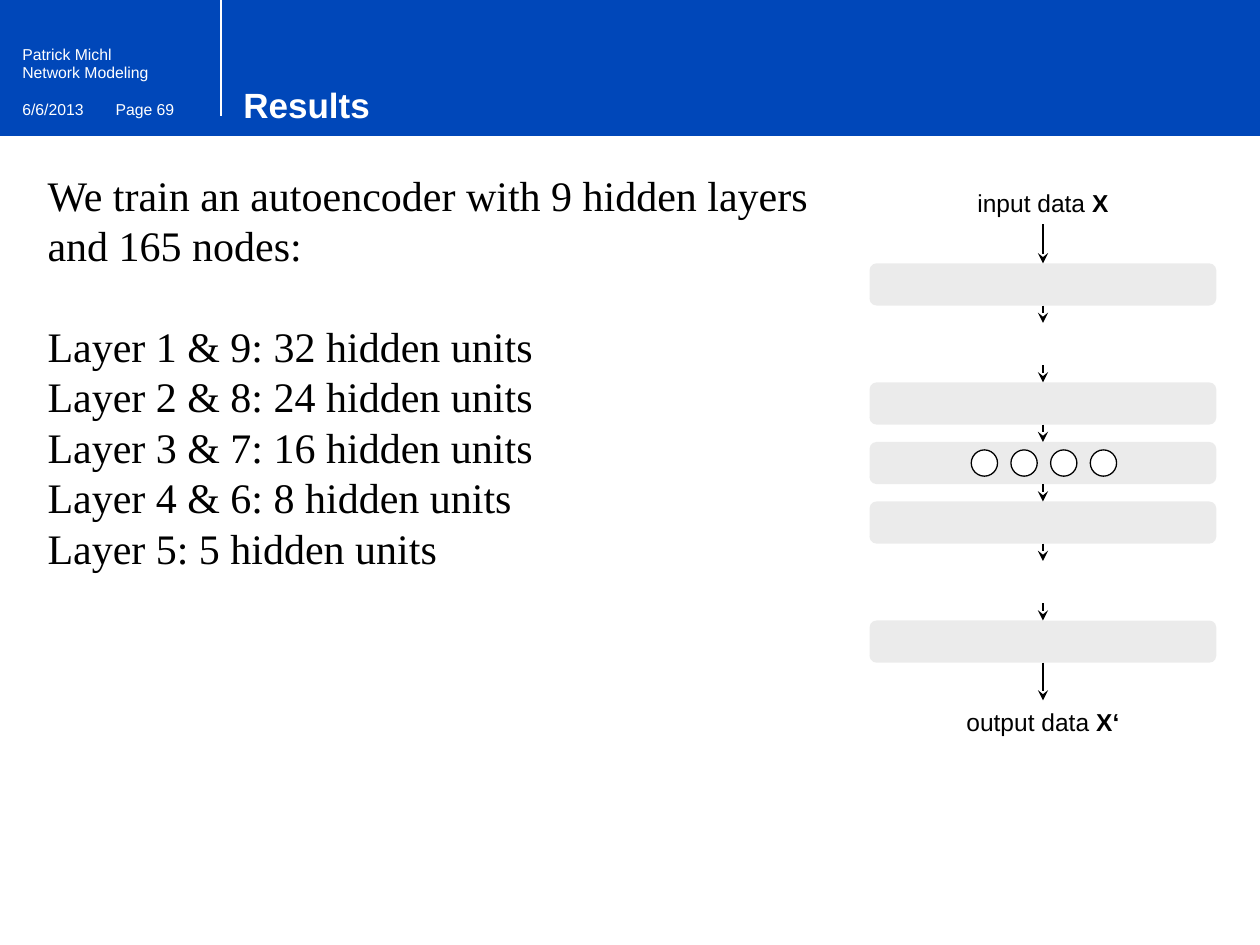
from lxml import etree
from pptx import Presentation
from pptx.dml.color import RGBColor
from pptx.enum import shapes, text
from pptx.oxml.ns import qn
from pptx.util import Cm, Pt

STACK_LEFT, STACK_WIDTH = 17.53, 6.99
STACK_CENTER = STACK_LEFT + STACK_WIDTH / 2
LAYER_TOP, LAYER_HEIGHT, LAYER_PITCH = 5.31, 0.85, 1.2
LAYER_SLOTS = 7
HIDDEN_SLOTS = (1, 5)
LABEL_HEIGHT = 0.86


def color(hex_value):
    return RGBColor.from_string(hex_value)


def style_font(font, size, hex_value, name="Arial", bold=False):
    font.name = name
    font.size = Pt(size)
    font.bold = bold
    font.color.rgb = color(hex_value)


def add_block(slide, kind, left, top, width, height, fill, line=None, alpha=None):
    block = slide.shapes.add_shape(kind, Cm(left), Cm(top), Cm(width), Cm(height))
    block.shadow.inherit = False
    block.fill.solid()
    block.fill.fore_color.rgb = color(fill)
    if alpha is not None:
        tint = block.fill._xPr.find(qn("a:solidFill"))[0]
        etree.SubElement(tint, qn("a:alpha"), val=str(alpha * 1000))
    if line:
        block.line.color.rgb = color(line)
        block.line.width = Pt(0.75)
    else:
        block.line.fill.background()
    return block


def add_text(slide, left, top, width, height, lines, size, hex_value, name="Arial"):
    box = slide.shapes.add_textbox(Cm(left), Cm(top), Cm(width), Cm(height))
    frame = box.text_frame
    frame.word_wrap = True
    frame.text = "\n".join(lines)
    for paragraph in frame.paragraphs:
        style_font(paragraph.font, size, hex_value, name)
    return box


def add_line(slide, x, start, end, hex_value, width, arrow=False):
    line = slide.shapes.add_connector(
        shapes.MSO_CONNECTOR.STRAIGHT, Cm(x), Cm(start), Cm(x), Cm(end))
    line.line.color.rgb = color(hex_value)
    line.line.width = Pt(width)
    if arrow:
        etree.SubElement(line.line._get_or_add_ln(), qn("a:tailEnd"), type="stealth")
    etree.SubElement(line._element.spPr, qn("a:effectLst"))
    return line


def add_header(slide):
    add_block(slide, shapes.MSO_SHAPE.RECTANGLE, 0, 2.74, 25.4, 16.31, "FFFFFF")
    add_block(slide, shapes.MSO_SHAPE.RECTANGLE, 0, 0, 25.4, 2.74, "0047B9")
    add_line(slide, 4.45, 2.33, 0, "FFFFFF", 0.9)
    for left, top, width, caption in (
        (2.08, 1.88, 2.57, "Page 69"),
        (0.2, 1.88, 2.34, "6/6/2013"),
        (0.2, 0.78, 3.38, "Patrick Michl"),
        (0.2, 1.15, 3.38, "Network Modeling"),
    ):
        add_text(slide, left, top, width, 0.64, [caption], 9, "FFFFFF")


def add_title(slide, caption):
    title = slide.shapes.title
    title.left, title.top, title.width, title.height = Cm(4.65), Cm(1.57), Cm(15.67), Cm(1.09)
    frame = title.text_frame
    frame.text = caption
    frame.vertical_anchor = text.MSO_ANCHOR.BOTTOM
    frame.paragraphs[0].alignment = text.PP_ALIGN.LEFT
    style_font(frame.paragraphs[0].font, 20, "FFFFFF", bold=True)
    slide.shapes._spTree.append(title._element)


def add_description(slide):
    intro = ["We train an autoencoder with 9 hidden layers", "and 165 nodes:"]
    units = [("1 & 9", 32), ("2 & 8", 24), ("3 & 7", 16), ("4 & 6", 8), ("5", 5)]
    layers = [f"Layer {layer}: {count} hidden units" for layer, count in units]
    box = add_text(slide, 0.71, 3.29, 16.1, 8.46, intro + layers, 24, "000000", "Times New Roman")
    for paragraph in box.text_frame.paragraphs:
        paragraph.line_spacing = Pt(28.8)
    box.text_frame.paragraphs[len(intro)].space_before = Pt(28.8)


def add_label(slide, top, caption, symbol):
    label = add_text(slide, STACK_LEFT, top, STACK_WIDTH, LABEL_HEIGHT, [caption], 14, "000000")
    paragraph = label.text_frame.paragraphs[0]
    paragraph.alignment = text.PP_ALIGN.CENTER
    run = paragraph.add_run()
    run.text = symbol
    run.font.bold = True
    return label


def add_autoencoder(slide):
    input_top, output_top = 3.66, 14.12
    stages = [(add_label(slide, input_top, "input data ", "X"), input_top, LABEL_HEIGHT)]
    for slot in range(LAYER_SLOTS):
        top = LAYER_TOP + slot * LAYER_PITCH
        layer = None
        if slot not in HIDDEN_SLOTS:
            layer = add_block(slide, shapes.MSO_SHAPE.ROUNDED_RECTANGLE, STACK_LEFT, top,
                              STACK_WIDTH, LAYER_HEIGHT, "D9D9D9", alpha=50)
        stages.append((layer, top, LAYER_HEIGHT))
    stages.append((add_label(slide, output_top, "output data ", "X‘"), output_top, LABEL_HEIGHT))

    for (source, top, height), (target, target_top, _) in zip(stages, stages[1:]):
        arrow = add_line(slide, STACK_CENTER, top + height, target_top, "000000", 0.75, arrow=True)
        if source is not None:
            arrow.begin_connect(source, 2)
        if target is not None:
            arrow.end_connect(target, 0)

    for unit in range(4):
        add_block(slide, shapes.MSO_SHAPE.OVAL, 19.58 + unit * 0.8, 9.07, 0.53, 0.53,
                  "FFFFFF", line="000000")


def main():
    deck = Presentation()
    deck.slide_width, deck.slide_height = Cm(25.4), Cm(19.05)
    slide = deck.slides.add_slide(deck.slide_layouts[5])
    slide.background.fill.solid()
    slide.background.fill.fore_color.rgb = color("CCDBF1")
    add_header(slide)
    add_title(slide, "Results")
    add_description(slide)
    add_autoencoder(slide)
    deck.save("out.pptx")


if __name__ == "__main__":
    main()
